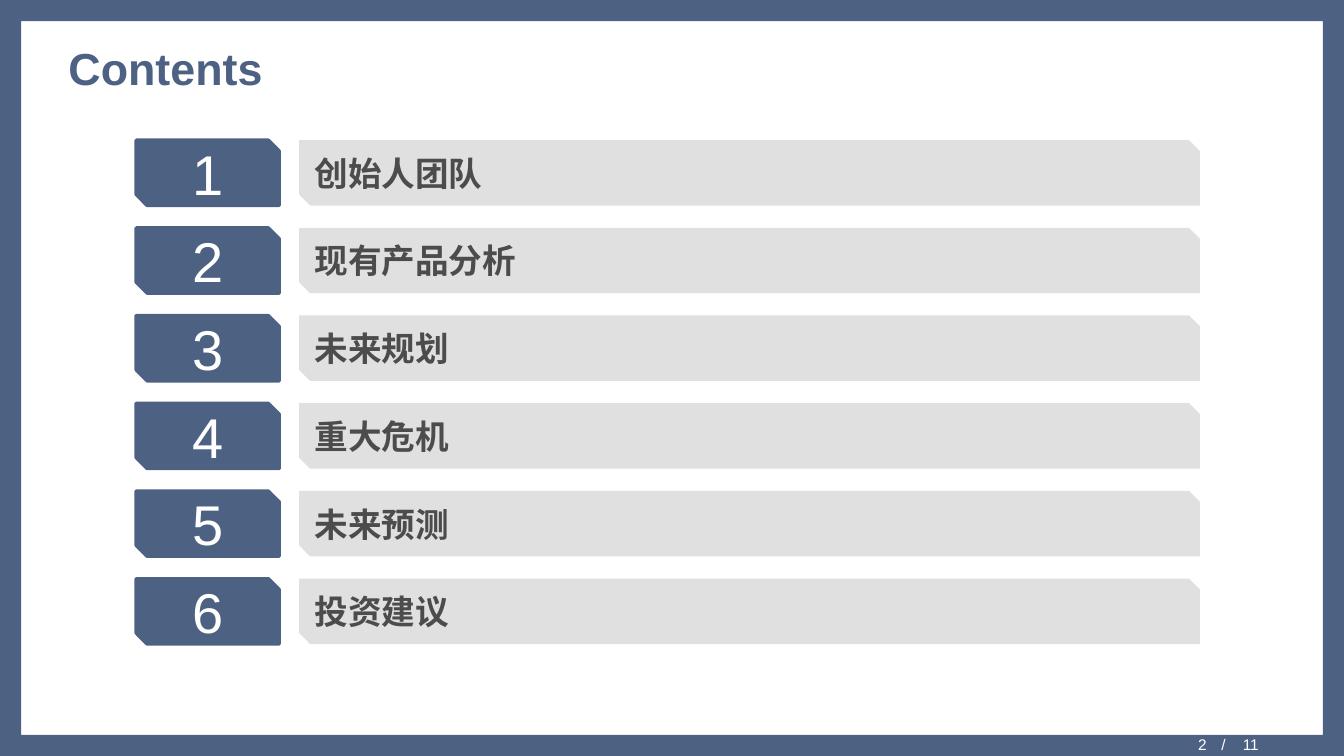
from pptx import Presentation
from pptx.dml.color import RGBColor
from pptx.enum.shapes import MSO_SHAPE
from pptx.enum.text import MSO_ANCHOR, PP_ALIGN
from pptx.util import Cm, Pt
from lxml import etree

COLORS = {"blue": "4D6283", "gray": "E0E0E0", "dark": "4C4C4C", "white": "FFFFFF"}
A = "http://schemas.openxmlformats.org/drawingml/2006/main"


def write(shape, text, size, color, bold=False, align=PP_ALIGN.LEFT, tab=None):
    tf = shape.text_frame
    tf.word_wrap = True
    tf.vertical_anchor = MSO_ANCHOR.MIDDLE
    p = tf.paragraphs[0]
    p.alignment = align
    if tab:
        tabs = etree.SubElement(p._p.get_or_add_pPr(), f"{{{A}}}tabLst")
        etree.SubElement(tabs, f"{{{A}}}tab", pos=str(tab), algn="l")
    r = p.add_run()
    r.text = text
    r.font.name = "Arial"
    r.font.size = Pt(size)
    r.font.bold = bold
    r.font.color.rgb = RGBColor.from_string(COLORS[color])


def add_box(s, kind, left, top, width, height, fill, line=None):
    sp = s.shapes.add_shape(kind, Cm(left), Cm(top), Cm(width), Cm(height))
    sp.shadow.inherit = False
    sp.fill.solid()
    sp.fill.fore_color.rgb = RGBColor.from_string(COLORS[fill])
    if line:
        sp.line.color.rgb = RGBColor.from_string(COLORS[fill])
        sp.line.width = Pt(line)
    else:
        sp.line.fill.background()
    return sp


prs = Presentation()
prs.slide_width, prs.slide_height = Cm(33.87), Cm(19.05)
s = prs.slides.add_slide(prs.slide_layouts[5])

# Border frame
frame = add_box(s, MSO_SHAPE.FRAME, 0, 0, 33.87, 19.05, "blue")
frame.adjustments[0] = 0.028

# Title
title = s.shapes.title
title.left, title.top, title.width, title.height = Cm(1.47), Cm(0.71), Cm(30.94), Cm(2.01)
write(title, "Contents", 32, "blue", bold=True)

# Numbered agenda rows
topics = ["创始人团队", "现有产品分析", "未来规划", "重大危机", "未来预测", "投资建议"]
for i, topic in enumerate(topics):
    top = 3.53 + i * 2.21
    number = add_box(s, MSO_SHAPE.SNIP_2_DIAG_RECTANGLE, 3.43, top, 3.61, 1.65, "blue", line=2.25)
    write(number, str(i + 1), 40, "white", align=PP_ALIGN.CENTER)
    bar = add_box(s, MSO_SHAPE.SNIP_2_DIAG_RECTANGLE, 7.54, top, 22.7, 1.65, "gray")
    write(bar, topic, 24, "dark", bold=True)

# Page number and page count
page = s.shapes.add_textbox(Cm(24.08), Cm(18.59), Cm(6.58), Cm(0.46))
page.text_frame.margin_top = 0
write(page, "2", 11, "white", align=PP_ALIGN.RIGHT)
total = s.shapes.add_textbox(Cm(30.53), Cm(18.54), Cm(3.33), Cm(0.46))
write(total, "/\t11", 11, "white", tab=Cm(0.54))

prs.save("out.pptx")
